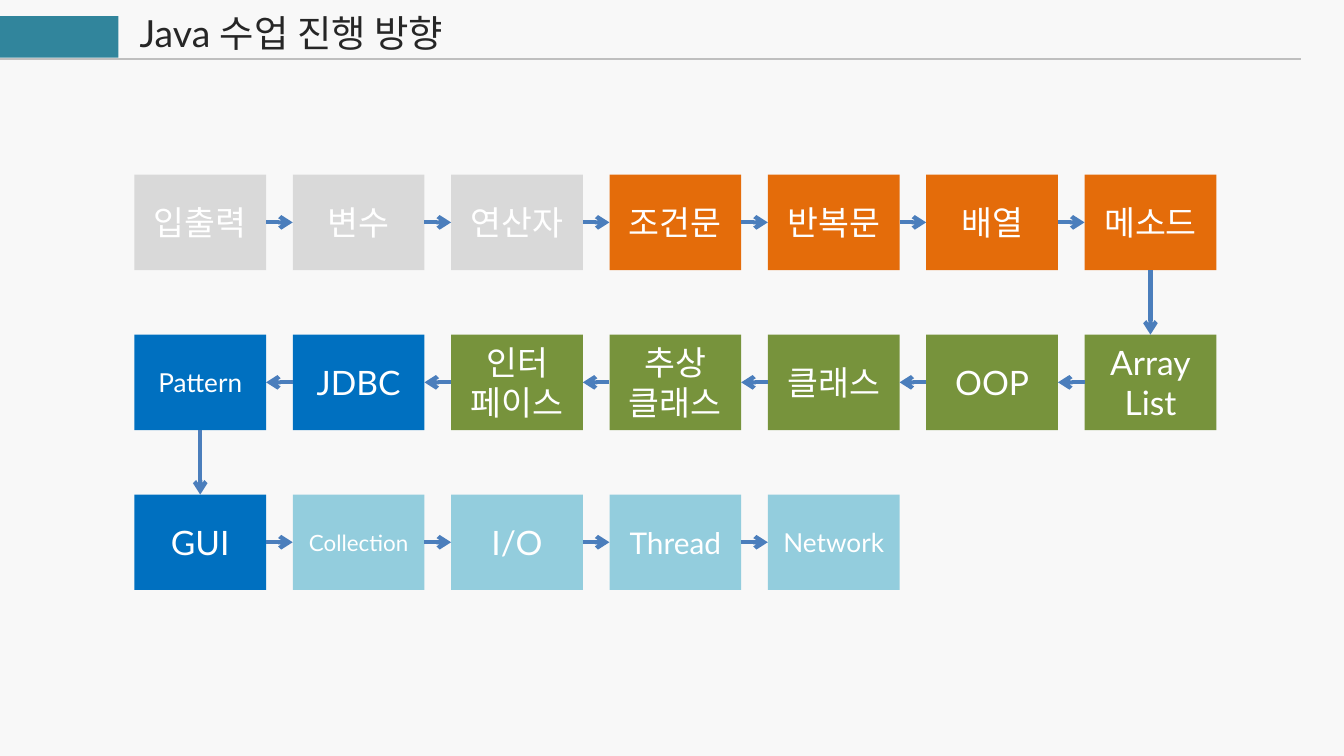
from itertools import pairwise

from lxml.etree import SubElement
from pptx import Presentation
from pptx.dml.color import RGBColor
from pptx.enum.shapes import MSO_CONNECTOR, MSO_SHAPE
from pptx.enum.text import MSO_ANCHOR, PP_ALIGN
from pptx.oxml.ns import qn
from pptx.util import Inches, Pt

TITLE = "Java 수업 진행 방향"
# Topics in teaching order: text, colour, font size
STEPS = [
    ("입출력", "gray", 18), ("변수", "gray", 18), ("연산자", "gray", 18),
    ("조건문", "orange", 18), ("반복문", "orange", 18),
    ("배열", "orange", 18), ("메소드", "orange", 18),
    ("Array\nList", "green", 18), ("OOP", "green", 18),
    ("클래스", "green", 18), ("추상\n클래스", "green", 18),
    ("인터\n페이스", "green", 18), ("JDBC", "blue", 18),
    ("Pattern", "blue", 14),
    ("GUI", "blue", 18), ("Collection", "sky", 12), ("I/O", "sky", 18),
    ("Thread", "sky", 16), ("Network", "sky", 14),
]
COLORS = {
    "back": "F8F8F8", "teal": "31859C", "rule": "BFBFBF", "ink": "262626",
    "white": "FFFFFF", "arrow": "4B7EBC", "gray": "D9D9D9",
    "orange": "E46C0A", "green": "77933C", "blue": "0070C0", "sky": "93CDDD",
}
FONT = "Lato"
PAGE_W = 10
PAGE_H = PAGE_W * 9 / 16
COLS = 7
LEFT, TOP = 1, 1.3
WIDE, HIGH = 0.98, 0.71
STEP_X, STEP_Y = 7.07 / (COLS - 1), 1.19
UP, WEST, DOWN, EAST = range(4)


def color(name):
    return RGBColor.from_string(COLORS[name])


def style(frame, size, ink, align):
    for para in frame.paragraphs:
        para.alignment = align
        para.font.name = FONT
        para.font.size = Pt(size)
        para.font.color.rgb = color(ink)


def add_box(slide, area, fill):
    box = slide.shapes.add_shape(MSO_SHAPE.RECTANGLE, *map(Inches, area))
    box.shadow.inherit = False
    box.fill.solid()
    box.fill.fore_color.rgb = color(fill)
    box.line.fill.background()
    return box


def add_line(slide, ends, ink, width):
    line = slide.shapes.add_connector(MSO_CONNECTOR.STRAIGHT, *map(Inches, ends))
    line.line.color.rgb = color(ink)
    line.line.width = Pt(width)
    SubElement(line._element.spPr, qn("a:effectLst"))
    return line


def place(index):
    """Return the row and column of a step on the winding route."""
    row, col = divmod(index, COLS)
    return row, COLS - 1 - col if row % 2 else col


def add_step(slide, index, text, fill, size):
    row, col = place(index)
    area = (LEFT + col * STEP_X, TOP + row * STEP_Y, WIDE, HIGH)
    box = add_box(slide, area, fill)
    frame = box.text_frame
    frame.text = text
    frame.word_wrap = True
    frame.vertical_anchor = MSO_ANCHOR.MIDDLE
    style(frame, size, "white", PP_ALIGN.CENTER)
    return box


def join(slide, index, start, end):
    """Link a step to the next one with an arrow."""
    row, col = place(index)
    next_row, next_col = place(index + 1)
    if row != next_row:
        sides = DOWN, UP
    elif next_col > col:
        sides = EAST, WEST
    else:
        sides = WEST, EAST
    line = add_line(slide, (0, 0, 0, 0), "arrow", 2.25)
    line.begin_connect(start, sides[0])
    line.end_connect(end, sides[1])
    SubElement(line.line._get_or_add_ln(), qn("a:tailEnd"), type="arrow")


def main():
    deck = Presentation()
    deck.slide_width, deck.slide_height = Inches(PAGE_W), Inches(PAGE_H)
    slide = deck.slides.add_slide(deck.slide_layouts[6])
    slide.background.fill.solid()
    slide.background.fill.fore_color.rgb = color("back")

    title = slide.shapes.add_textbox(*map(Inches, (0.94, 0.03, 4.85, 0.44)))
    title.text_frame.text = TITLE
    title.text_frame.word_wrap = True
    style(title.text_frame, 20, "ink", PP_ALIGN.LEFT)
    add_box(slide, (-0.01, 0.12, 0.89, 0.31), "teal")
    add_line(slide, (-0.01, 0.44, 9.68, 0.44), "rule", 1)

    boxes = [add_step(slide, i, *step) for i, step in enumerate(STEPS)]
    for i, (start, end) in enumerate(pairwise(boxes)):
        join(slide, i, start, end)
    deck.save("out.pptx")


if __name__ == "__main__":
    main()
